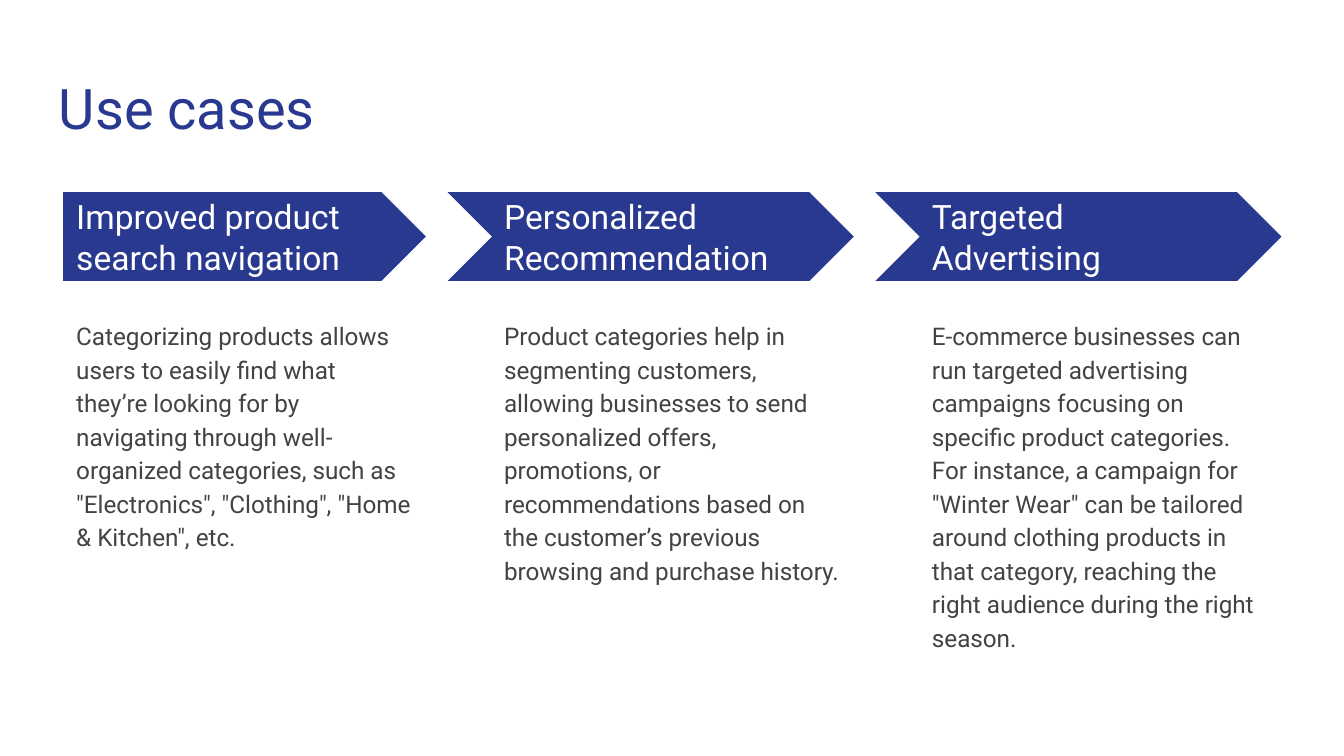
from dataclasses import dataclass

from pptx import Presentation
from pptx.dml.color import RGBColor
from pptx.enum.shapes import MSO_SHAPE
from pptx.enum.text import MSO_ANCHOR, MSO_AUTO_SIZE
from pptx.util import Pt


@dataclass(frozen=True)
class Theme:
    font: str = "Roboto"
    navy: RGBColor = RGBColor(0x2A, 0x39, 0x90)
    white: RGBColor = RGBColor(0xFF, 0xFF, 0xFF)
    gray: RGBColor = RGBColor(0x43, 0x43, 0x43)
    title_size: int = 30
    heading_size: int = 18
    body_size: int = 13
    inset: float = 7.2


class SlideBuilder:
    def __init__(self, slide, theme):
        self.slide = slide
        self.theme = theme

    def add_text(self, text, left, top, width, height, size, color,
                 anchor=MSO_ANCHOR.TOP, line_spacing=1.0, space_after=0):
        shape = self.slide.shapes.add_textbox(
            Pt(left), Pt(top), Pt(width), Pt(height))
        frame = shape.text_frame
        frame.word_wrap = True
        frame.auto_size = MSO_AUTO_SIZE.NONE
        frame.vertical_anchor = anchor
        frame.margin_left = frame.margin_right = Pt(self.theme.inset)
        frame.margin_top = frame.margin_bottom = Pt(self.theme.inset)
        paragraph = frame.paragraphs[0]
        paragraph.text = text
        paragraph.line_spacing = line_spacing
        paragraph.space_after = Pt(space_after)
        paragraph.font.name = self.theme.font
        paragraph.font.size = Pt(size)
        paragraph.font.color.rgb = color

    def add_arrow(self, kind, left, top, width, height):
        shape = self.slide.shapes.add_shape(
            kind, Pt(left), Pt(top), Pt(width), Pt(height))
        shape.adjustments[0] = 0.5
        shape.shadow.inherit = False
        shape.fill.solid()
        shape.fill.fore_color.rgb = self.theme.navy
        shape.line.fill.background()

    def add_title(self, text):
        self.add_text(text, 24.5, 32.4, 671, 47.5,
                      self.theme.title_size, self.theme.navy)

    def add_heading(self, text, left):
        self.add_text(text, left, 114.5, 177.8, 24.5,
                      self.theme.heading_size, self.theme.white,
                      anchor=MSO_ANCHOR.MIDDLE)

    def add_body(self, text, left):
        self.add_text(text, left, 162.7, COLUMN_WIDTH, 208.8,
                      self.theme.body_size, self.theme.gray,
                      line_spacing=1.15, space_after=8)


FIRST_LEFT = 33.8
COLUMN_PITCH = 229.2
COLUMN_WIDTH = 194.4
ARROW_TOP = 103
ARROW_HEIGHT = 47.5
CHEVRON_TAIL = 23.2

USE_CASES = [
    ("Improved product search navigation",
     "Categorizing products allows users to easily find what they’re looking "
     "for by navigating through well-organized categories, such as "
     '"Electronics", "Clothing", "Home & Kitchen", etc.'),
    ("Personalized Recommendation",
     "Product categories help in segmenting customers, allowing businesses to "
     "send personalized offers, promotions, or recommendations based on the "
     "customer’s previous browsing and purchase history."),
    ("Targeted Advertising",
     "E-commerce businesses can run targeted advertising campaigns focusing on "
     "specific product categories. For instance, a campaign for "
     '"Winter Wear" can be tailored around clothing products in that '
     "category, reaching the right audience during the right season."),
]


def main():
    presentation = Presentation()
    presentation.slide_width = Pt(720)
    presentation.slide_height = Pt(405)
    slide = presentation.slides.add_slide(presentation.slide_layouts[6])
    builder = SlideBuilder(slide, Theme())

    builder.add_title("Use cases")
    for index, (heading, body) in enumerate(USE_CASES):
        left = FIRST_LEFT + index * COLUMN_PITCH
        kind = MSO_SHAPE.CHEVRON if index else MSO_SHAPE.PENTAGON
        tail = CHEVRON_TAIL if index else 0
        builder.add_arrow(kind, left - tail, ARROW_TOP,
                          COLUMN_WIDTH + tail, ARROW_HEIGHT)
        builder.add_heading(heading, left)
        builder.add_body(body, left)

    presentation.save("out.pptx")


if __name__ == "__main__":
    main()
